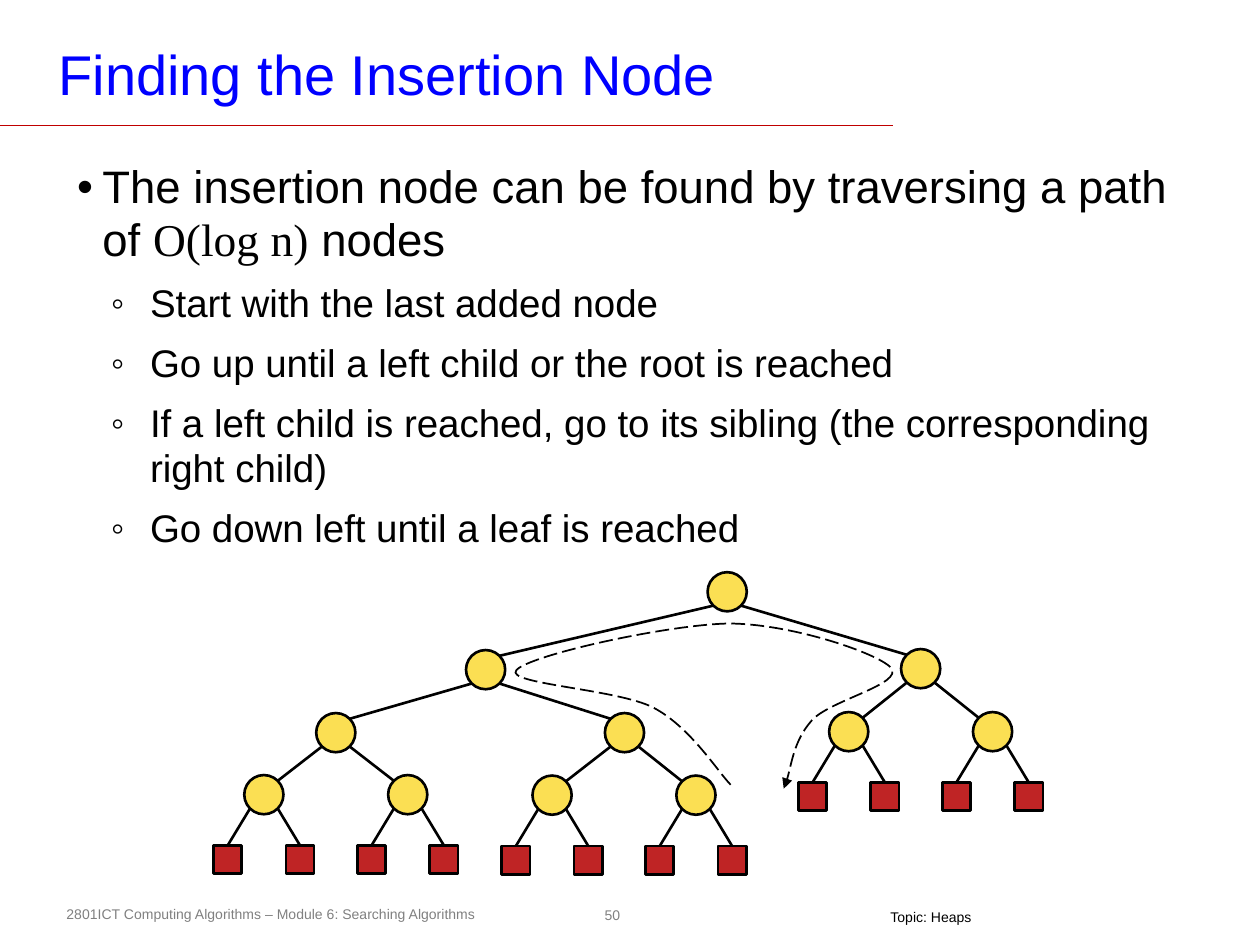
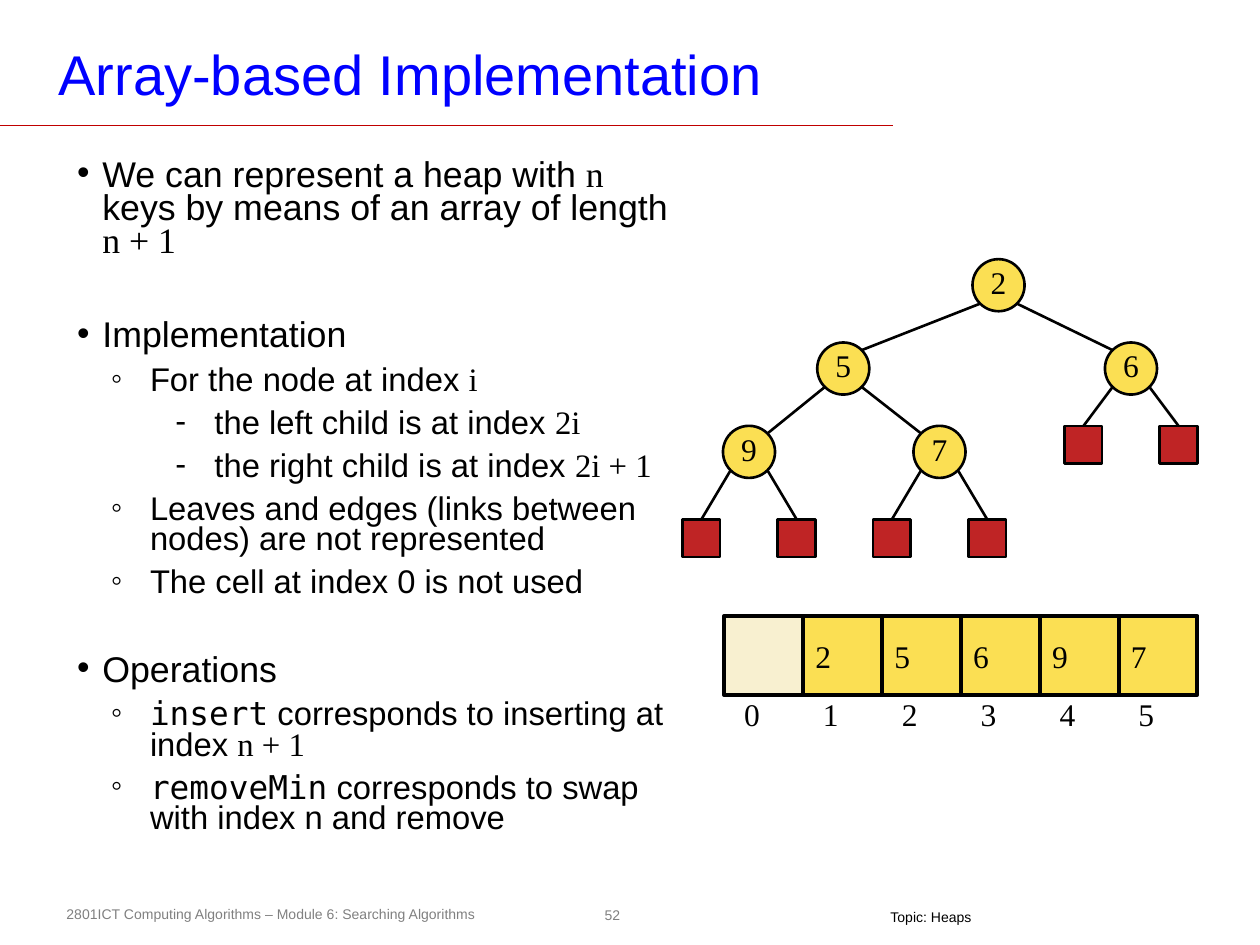
from math import sqrt

from lxml.etree import SubElement
from pptx import Presentation
from pptx.dml.color import RGBColor
from pptx.enum.dml import MSO_LINE
from pptx.enum.shapes import MSO_CONNECTOR, MSO_SHAPE
from pptx.enum.text import MSO_ANCHOR, MSO_AUTO_SIZE, PP_ALIGN
from pptx.oxml.ns import qn
from pptx.util import Cm, Pt

BLACK = RGBColor(0x00, 0x00, 0x00)
GREY = RGBColor(0x80, 0x80, 0x80)
TITLE_BLUE = RGBColor(0x00, 0x00, 0xFF)
RULE_RED = RGBColor(0xC0, 0x00, 0x00)
NODE_YELLOW = RGBColor(0xFB, 0xDF, 0x53)
LEAF_RED = RGBColor(0xBF, 0x24, 0x25)
UNUSED_CREAM = RGBColor(0xF8, 0xF0, 0xD0)

SANS, SERIF, MONO = "Arial", "Times New Roman", "DejaVu Sans Mono"

NO_MARGINS = dict(margin_left=0, margin_top=0, margin_right=0, margin_bottom=0)
TITLE_FRAME = dict(margin_left=Cm(0.18), margin_top=Cm(0.08), margin_right=Cm(0.18),
                   margin_bottom=Cm(0.08), vertical_anchor=MSO_ANCHOR.MIDDLE,
                   auto_size=MSO_AUTO_SIZE.NONE, word_wrap=True)
NUMBER_FRAME = dict(NO_MARGINS, vertical_anchor=MSO_ANCHOR.MIDDLE, word_wrap=False)
TOPIC_FRAME = dict(margin_top=0, margin_bottom=Cm(0.1), word_wrap=False)
NODE_FRAME = dict(NO_MARGINS, margin_bottom=Cm(0.13),
                  vertical_anchor=MSO_ANCHOR.MIDDLE, word_wrap=False)
CELL_FRAME = dict(vertical_anchor=MSO_ANCHOR.MIDDLE, word_wrap=True)
INDEX_FRAME = dict(NO_MARGINS, word_wrap=True)

# Bullet, left margin and first-line indent of each list level
LEVELS = [("•", 0.51, -0.51), ("◦", 1.47, -0.79), ("-", 2.77, -0.79)]


def set_text(shape, text, size, colour, font, frame_format, alignment=PP_ALIGN.LEFT):
    text_frame = shape.text_frame
    for name, value in frame_format.items():
        setattr(text_frame, name, value)
    paragraph = text_frame.paragraphs[0]
    paragraph.alignment = alignment
    run = paragraph.add_run()
    run.text = text
    run.font.color.rgb = colour
    for name, value in dict(size=Pt(size), name=font).items():
        setattr(run.font, name, value)


def add_line(shapes, start, end, colour, width):
    connector = shapes.add_connector(MSO_CONNECTOR.STRAIGHT,
                                     *(Cm(value) for value in (*start, *end)))
    connector.line.color.rgb = colour
    connector.line.width = Pt(width)
    SubElement(connector._element.spPr, qn("a:effectLst"))
    return connector


presentation = Presentation()
presentation.slide_width, presentation.slide_height = Cm(25.4), Cm(19.05)

# Contents: each list item is (level, runs), with an optional wider space before
pages = [
    dict(
        title="Finding the Insertion Node", number="50",
        body=(1.3, 3.12, 22.86, 8.89), sizes=(26, 22, 22), line_spacing=0.97,
        items=[
            (0, [("The insertion node can be found by traversing a path of ", SANS),
                 ("O(log n)", SERIF), (" nodes", SANS)]),
            (1, [("Start with the last added node", SANS)]),
            (1, [("Go up until a left child or the root is reached", SANS)]),
            (1, [("If a left child is reached, go to its sibling "
                  "(the corresponding right child)", SANS)]),
            (1, [("Go down left until a leaf is reached", SANS)]),
        ],
        # Node centres by heap index: children of i are 2i and 2i + 1
        nodes={1: (14.66, 11.93), 2: (9.79, 13.5), 3: (18.56, 13.48),
               4: (6.77, 14.77), 5: (12.59, 14.77), 6: (17.11, 14.75), 7: (20.01, 14.75),
               8: (5.32, 16.02), 9: (8.22, 16.02), 10: (11.13, 16.03), 11: (14.03, 16.03)},
        keys={}, node_size=0.79, leaf_size=0.57, leaf_offset=0.73, leaf_drops={}, drop=1.31,
    ),
    dict(
        title="Array-based Implementation", number="52",
        body=(1.3, 3.12, 12.5, 14.6), sizes=(20.4, 18.7, 18.7), line_spacing=0.77,
        items=[
            (0, [("We can represent a heap with ", SANS), ("n", SERIF),
                 (" keys by means of an array of length ", SANS), ("n + 1", SERIF)]),
            (0, [("Implementation", SANS)], 35),
            (1, [("For the node at index ", SANS), ("i", SERIF)]),
            (2, [("the left child is at index ", SANS), ("2i", SERIF)]),
            (2, [("the right child is at index ", SANS), ("2i + 1", SERIF)]),
            (1, [("Leaves and edges (links between nodes) are not represented", SANS)]),
            (1, [("The cell at index 0 is not used", SANS)]),
            (0, [("Operations", SANS)], 32),
            (1, [("insert", MONO), (" corresponds to inserting at index ", SANS),
                 ("n + 1", SERIF)]),
            (1, [("removeMin", MONO),
                 (" corresponds to swap with index n and remove", SANS)]),
        ],
        nodes={1: (20.13, 5.75), 2: (17, 7.43), 3: (22.8, 7.43),
               4: (15.1, 9.11), 5: (18.94, 9.11)},
        keys={1: "2", 2: "5", 3: "6", 4: "9", 5: "7"},
        node_size=1.05, leaf_size=0.76, leaf_offset=0.96, leaf_drops={3: 1.54}, drop=1.74,
    ),
]

outlined_shapes = []  # (shape, fill colour, line width)
tree_groups = []

for page in pages:
    slide = presentation.slides.add_slide(presentation.slide_layouts[1])
    title, body = slide.placeholders

    # Title, rule and footer
    title.left, title.top, title.width, title.height = Cm(1), Cm(0.71), Cm(18.85), Cm(1.52)
    set_text(title, page["title"], 32, TITLE_BLUE, SANS, TITLE_FRAME)
    add_line(slide.shapes, (0, 2.53), (18, 2.53), RULE_RED, 1)
    for text, box, colour, frame_format, alignment in [
        (page["number"], (12.04, 18.11, 0.61, 0.66), GREY, NUMBER_FRAME, PP_ALIGN.CENTER),
        ("2801ICT Computing Algorithms – Module 6: Searching Algorithms",
         (1.09, 18.14, 9.25, 0.61), GREY, dict(word_wrap=True), PP_ALIGN.LEFT),
        ("Topic: Heaps", (17.7, 18.31, 2.16, 0.43), BLACK, TOPIC_FRAME, PP_ALIGN.LEFT),
    ]:
        label = slide.shapes.add_textbox(*(Cm(value) for value in box))
        set_text(label, text, 8, colour, SANS, frame_format, alignment)

    # Bulleted list
    body.left, body.top, body.width, body.height = (Cm(value) for value in page["body"])
    text_frame = body.text_frame
    text_frame.auto_size = MSO_AUTO_SIZE.NONE
    for position, (level, runs, *wide_space) in enumerate(page["items"]):
        paragraph = text_frame.add_paragraph() if position else text_frame.paragraphs[0]
        size = page["sizes"][level]
        bullet, margin, indent = LEVELS[level]
        space = wide_space[0] if wide_space else round(0.39 * size, 1)
        for name, value in dict(level=level, line_spacing=page["line_spacing"],
                                space_before=Pt(space if position else 0)).items():
            setattr(paragraph, name, value)
        properties = paragraph._p.get_or_add_pPr()
        properties.set("marL", str(Cm(margin)))
        properties.set("indent", str(Cm(indent)))
        SubElement(properties, qn("a:buFont"), typeface=SANS)
        SubElement(properties, qn("a:buChar"), char=bullet)
        for text, font in runs:
            run = paragraph.add_run()
            run.text = text
            run.font.size, run.font.name = Pt(size), font
            run.font.color.rgb = BLACK

    # Tree: nodes
    tree = slide.shapes.add_group_shape().shapes
    tree_groups.append(tree)
    nodes, node_size, leaf_size = page["nodes"], page["node_size"], page["leaf_size"]
    for index, (x, y) in nodes.items():
        node = tree.add_shape(MSO_SHAPE.OVAL, Cm(x - node_size / 2), Cm(y - node_size / 2),
                              Cm(node_size), Cm(node_size))
        outlined_shapes.append((node, NODE_YELLOW, 1.5))
        if index in page["keys"]:
            set_text(node, page["keys"][index], 18, BLACK, SERIF, NODE_FRAME,
                     PP_ALIGN.CENTER)

    # Tree: edges, with a leaf wherever a child is missing
    corner = node_size / 2 / sqrt(2)
    for index, (x, y) in nodes.items():
        for child, side in ((2 * index, -1), (2 * index + 1, 1)):
            start = (x + side * corner, y + corner)
            if child in nodes:
                child_x, child_y = nodes[child]
                end = (child_x - side * corner, child_y - corner)
                add_line(tree, start, end, BLACK, 1.5)
            else:
                leaf_x = x + side * page["leaf_offset"]
                leaf_top = y + page["leaf_drops"].get(index, page["drop"]) - leaf_size / 2
                leaf = tree.add_shape(MSO_SHAPE.RECTANGLE, Cm(leaf_x - leaf_size / 2),
                                      Cm(leaf_top), Cm(leaf_size), Cm(leaf_size))
                outlined_shapes.append((leaf, LEAF_RED, 1.5))
                edge = add_line(tree, start, (leaf_x, leaf_top), BLACK, 1.5)
                edge.end_connect(leaf, 0)

# Dashed traversal path: a start point, then three control points for each curve
path_points = [
    (14.73, 15.82),
    (14.48, 15.57), (13.92, 14.66), (13.18, 14.27),
    (12.47, 13.89), (10.16, 13.79), (10.41, 13.51),
    (10.67, 13.21), (13.41, 12.6), (14.68, 12.57),
    (15.93, 12.57), (17.68, 13.16), (17.96, 13.46),
    (18.24, 13.79), (16.71, 14.12), (16.36, 14.53),
    (16, 14.94), (15.93, 15.62), (15.8, 15.9),
]
start, *controls = [(Cm(x), Cm(y)) for x, y in path_points]
builder = tree_groups[0].build_freeform(*start)
builder.add_line_segments(controls, close=False)
traversal = builder.convert_to_shape()
traversal.shadow.inherit = False
traversal.fill.background()
traversal.line.color.rgb = BLACK
traversal.line.width = Pt(1)
traversal.line.dash_style = MSO_LINE.LONG_DASH
SubElement(traversal.line._get_or_add_ln(), qn("a:tailEnd"), type="triangle")
segments = list(traversal._element.iter(qn("a:lnTo")))
for first in range(0, len(segments), 3):
    outline = segments[first].getparent()
    curve = SubElement(outline, qn("a:cubicBezTo"))
    for segment in segments[first:first + 3]:
        curve.append(segment[0])
        outline.remove(segment)

# Heap array with an index under each cell
array = presentation.slides[1].shapes.add_group_shape().shapes
cell_size = 1.59
for index, key in enumerate(["", "2", "5", "6", "9", "7"]):
    left = 14.6 + index * cell_size
    cell = array.add_shape(MSO_SHAPE.RECTANGLE, Cm(left), Cm(12.42),
                           Cm(cell_size), Cm(cell_size))
    outlined_shapes.append((cell, NODE_YELLOW if key else UNUSED_CREAM, 2.25))
    if key:
        set_text(cell, key, 18, BLACK, SERIF, CELL_FRAME)
    index_label = array.add_textbox(Cm(left + 0.4), Cm(14.02), Cm(0.76), Cm(1.02))
    set_text(index_label, str(index), 18, BLACK, SERIF, INDEX_FRAME)

# Shared look of nodes, leaves and cells
for shape, fill_colour, line_width in outlined_shapes:
    shape.shadow.inherit = False
    shape.fill.solid()
    shape.fill.fore_color.rgb = fill_colour
    shape.line.color.rgb = BLACK
    shape.line.width = Pt(line_width)

presentation.save("out.pptx")
